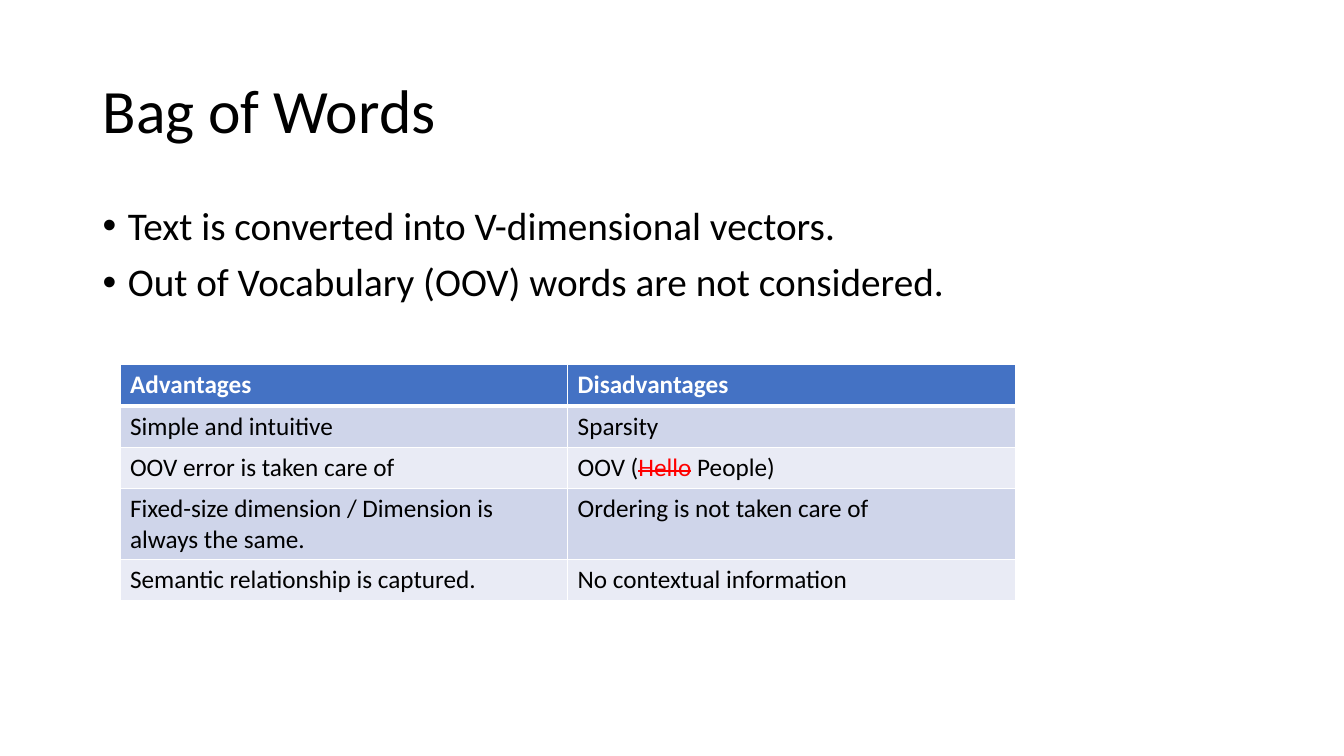
from dataclasses import dataclass

from lxml.etree import SubElement
from pptx import Presentation
from pptx.dml.color import RGBColor
from pptx.enum.text import MSO_ANCHOR
from pptx.oxml.ns import qn
from pptx.util import Inches, Pt


@dataclass(frozen=True)
class Theme:
    font: str = "Calibri"
    ink: str = "000000"
    light: str = "FFFFFF"
    struck: str = "FF0000"
    header_fill: str = "4472C4"
    band_fills: tuple = ("CFD5EA", "E9EBF5")
    title_size: int = 44
    body_size: int = 28
    table_size: int = 18
    thin: int = 1
    thick: int = 3


class SlideBuilder:
    def __init__(self, slide, theme):
        self.slide = slide
        self.theme = theme

    def run(self, paragraph, text, size, color, bold=False, strike=False):
        run = paragraph.add_run()
        run.text = text
        font_format = {"name": self.theme.font, "size": Pt(size), "bold": bold}
        for attribute, value in font_format.items():
            setattr(run.font, attribute, value)
        run.font.color.rgb = RGBColor.from_string(color)
        if strike:
            run.font._element.set("strike", "sngStrike")

    def text_frame(self, box, anchor):
        frame = self.slide.shapes.add_textbox(*map(Inches, box)).text_frame
        frame.word_wrap = True
        frame.vertical_anchor = anchor
        return frame

    def title(self, text, box):
        heading = self.text_frame(box, MSO_ANCHOR.MIDDLE).paragraphs[0]
        heading.line_spacing = 0.9
        self.run(heading, text, self.theme.title_size, self.theme.ink)

    def bullets(self, points, box):
        frame = self.text_frame(box, MSO_ANCHOR.TOP)
        for index, point in enumerate(points):
            paragraph = frame.add_paragraph() if index else frame.paragraphs[0]
            paragraph.line_spacing = 0.9
            paragraph.space_before = Pt(10)
            self.run(paragraph, point, self.theme.body_size, self.theme.ink)
            properties = paragraph._p.get_or_add_pPr()
            properties.set("marL", str(Inches(0.25)))
            properties.set("indent", str(-Inches(0.25)))
            SubElement(properties, qn("a:buFont"), typeface="Arial")
            SubElement(properties, qn("a:buChar"), char="•")

    def borders(self, cell, widths):
        """Draw cell borders; widths maps a side (L, R, T, B) to points."""
        properties = cell._tc.get_or_add_tcPr()
        for side, width in widths.items():
            line = SubElement(properties, qn(f"a:ln{side}"), w=str(Pt(width)))
            fill = SubElement(line, qn("a:solidFill"))
            SubElement(fill, qn("a:srgbClr"), val=self.theme.light)

    def table(self, rows, left, top, column_width, row_height):
        """Build a banded table; a cell is a text or a list of (text, struck)."""
        theme = self.theme
        columns = len(rows[0])
        table = self.slide.shapes.add_table(
            len(rows), columns, Inches(left), Inches(top),
            Inches(column_width * columns), Inches(row_height * len(rows)),
        ).table
        for row_index, row in enumerate(rows):
            header = row_index == 0
            fill = theme.header_fill if header else theme.band_fills[(row_index - 1) % 2]
            text_color = theme.light if header else theme.ink
            widths = dict.fromkeys("LRTB", theme.thin)
            if header:
                widths["B"] = theme.thick
            elif row_index == 1:
                widths["T"] = theme.thick
            for column_index, content in enumerate(row):
                cell = table.cell(row_index, column_index)
                self.borders(cell, widths)
                cell.fill.solid()
                cell.fill.fore_color.rgb = RGBColor.from_string(fill)
                pieces = [(content, False)] if isinstance(content, str) else content
                for text, struck in pieces:
                    color = theme.struck if struck else text_color
                    self.run(cell.text_frame.paragraphs[0], text,
                             theme.table_size, color, header, struck)


def main():
    presentation = Presentation()
    presentation.slide_width = Inches(13.33)
    presentation.slide_height = Inches(7.5)
    slide = presentation.slides.add_slide(presentation.slide_layouts[6])
    builder = SlideBuilder(slide, Theme())

    builder.title("Bag of Words", (0.92, 0.4, 11.5, 1.45))
    builder.bullets(
        [
            "Text is converted into V-dimensional vectors.",
            "Out of Vocabulary (OOV) words are not considered.",
        ],
        (0.92, 2, 11.5, 4.76),
    )
    unknown_word = [("OOV (", False), ("Hello", True), (" People)", False)]
    builder.table(
        [
            ("Advantages", "Disadvantages"),
            ("Simple and intuitive", "Sparsity"),
            ("OOV error is taken care of", unknown_word),
            ("Fixed-size dimension / Dimension is always the same.",
             "Ordering is not taken care of"),
            ("Semantic relationship is captured.", "No contextual information"),
        ],
        left=1.19, top=3.62, column_width=4.44, row_height=0.41,
    )
    presentation.save("out.pptx")


if __name__ == "__main__":
    main()
